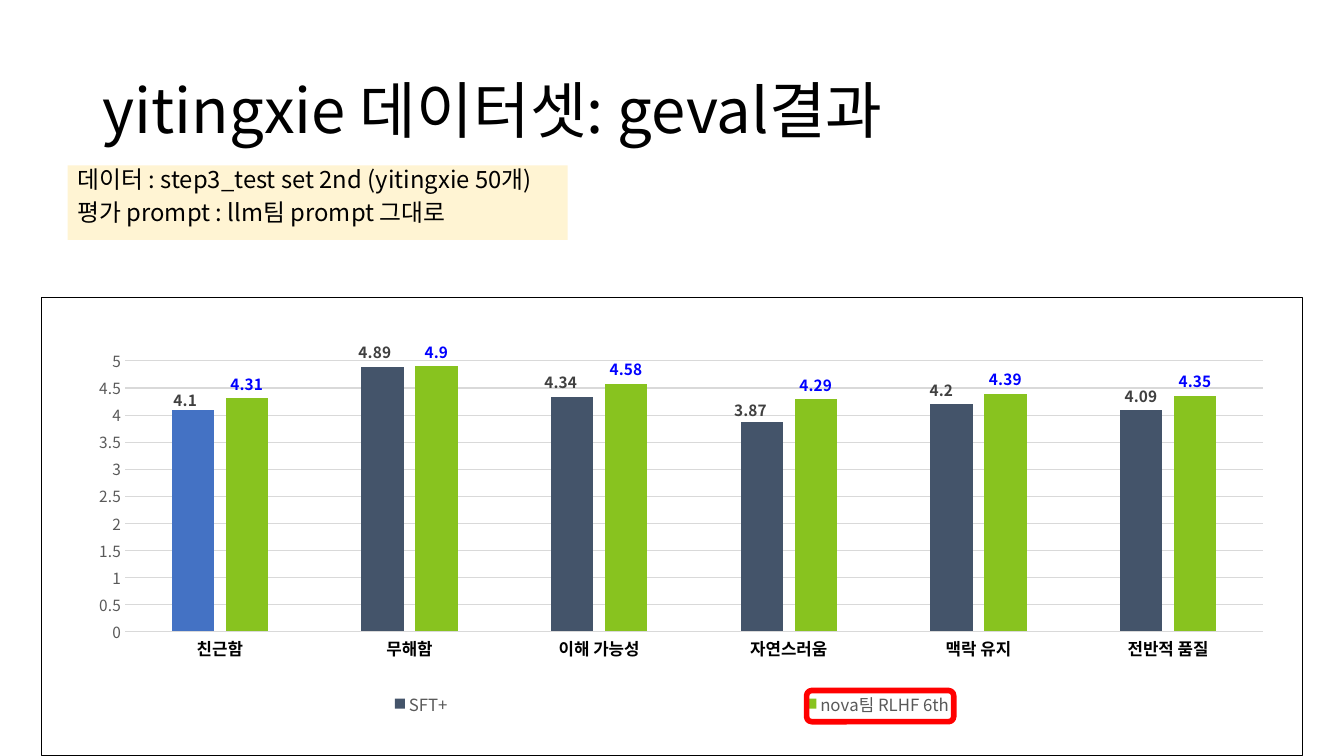
from lxml import etree
from pptx import Presentation
from pptx.chart.data import CategoryChartData
from pptx.dml.color import RGBColor
from pptx.enum import chart as ch, shapes, text
from pptx.oxml import parse_xml
from pptx.oxml.ns import nsdecls, qn
from pptx.util import Inches, Pt

FONT = "Noto Sans CJK KR"
BLACK = RGBColor(0, 0, 0)
GRAY = RGBColor(0x59, 0x59, 0x59)
DARK = RGBColor(0x40, 0x40, 0x40)
GRID = RGBColor(0xD9, 0xD9, 0xD9)
NAVY = RGBColor(0x44, 0x54, 0x6A)
AZURE = RGBColor(0x44, 0x72, 0xC4)
GREEN = RGBColor(0x88, 0xC3, 0x1F)
BLUE = RGBColor(0, 0, 0xFF)
CREAM = RGBColor(0xFF, 0xF4, 0xD3)
RED = RGBColor(0xFF, 0, 0)

TITLE = ["yitingxie 데이터셋: geval결과"]
NOTES = ["데이터 : step3_test set 2nd (yitingxie 50개)",
         "평가 prompt : llm팀 prompt 그대로"]
CATS = ["친근함", "무해함", "이해 가능성", "자연스러움", "맥락 유지", "전반적 품질"]
# name, values, bar colour, label colour
SERIES = [("SFT+", [4.1, 4.89, 4.34, 3.87, 4.2, 4.09], NAVY, DARK),
          ("nova팀 RLHF 6th", [4.31, 4.9, 4.58, 4.29, 4.39, 4.35], GREEN, BLUE)]
# label offsets of the first series, as shares of the chart
SHIFTS = [(-0.006, 0.01), (-0.006, 0), (-0.009, 0), (-0.009, 0.006), (-0.008, 0)]
PLOT = (0.066, 0.138, 0.903, 0.591)
LEGEND = (0, 0.847, 1, 0.08)


def style(font, size, color, bold=False):
    font.name, font.size, font.bold = FONT, Pt(size), bold
    font.color.rgb = color


def write(shape, lines, size, spacing, before=0, anchor=text.MSO_ANCHOR.TOP):
    frame = shape.text_frame
    frame.word_wrap, frame.vertical_anchor = True, anchor
    for i, line in enumerate(lines):
        para = frame.add_paragraph() if i else frame.paragraphs[0]
        para.alignment = text.PP_ALIGN.LEFT
        para.line_spacing, para.space_before = spacing, Pt(before)
        run = para.add_run()
        run.text = line
        style(run.font, size, BLACK)


def layout(box, inner=False):
    """Manual layout from x, y or x, y, w, h."""
    keys = ("x", "y", "w", "h")[:len(box)]
    tags = '<c:layoutTarget val="inner"/>' if inner else ""
    if len(box) == 4:
        tags += '<c:xMode val="edge"/><c:yMode val="edge"/>'
    tags += "".join(f'<c:{k} val="{v}"/>' for k, v in zip(keys, box))
    return parse_xml(f'<c:layout {nsdecls("c")}><c:manualLayout>{tags}'
                     '</c:manualLayout></c:layout>')


def place(parent, node, after=None):
    """Set the layout of a chart part, after the named child or first."""
    for old in parent.findall(qn("c:layout")):
        parent.remove(old)
    if after:
        parent.find(qn(after)).addnext(node)
    else:
        parent.insert(0, node)


def add_bars(slide):
    data = CategoryChartData()
    data.categories = CATS
    for name, vals, *_ in SERIES:
        data.add_series(name, vals)
    chart = slide.shapes.add_chart(
        ch.XL_CHART_TYPE.COLUMN_CLUSTERED, Inches(0.41), Inches(2.95),
        Inches(12.51), Inches(4.55), data).chart
    style(chart.font, 12, BLACK)
    chart.has_title = False
    chart.has_legend = True
    chart.legend.position = ch.XL_LEGEND_POSITION.BOTTOM
    chart.legend.include_in_layout = False
    style(chart.legend.font, 12, GRAY)

    cat, val = chart.category_axis, chart.value_axis
    for axis in (cat, val):
        axis.major_tick_mark = axis.minor_tick_mark = ch.XL_TICK_MARK.NONE
    style(cat.tick_labels.font, 12, BLACK, True)
    style(val.tick_labels.font, 11, GRAY)
    val.minimum_scale, val.maximum_scale, val.major_unit = 0, 5, 0.5
    val.has_major_gridlines = True
    val.format.line.fill.background()
    for line in (cat.format.line, val.major_gridlines.format.line):
        line.color.rgb, line.width = GRID, Pt(0.75)

    plot = chart.plots[0]
    plot.gap_width, plot.overlap, plot.vary_by_categories = 219, -27, False
    for bars, (_, _, fill, ink) in zip(plot.series, SERIES):
        bars.format.fill.solid()
        bars.format.fill.fore_color.rgb = fill
        labels = bars.data_labels
        labels.show_value = True
        labels.position = ch.XL_LABEL_POSITION.OUTSIDE_END
        style(labels.font, 11, ink, True)
    first = plot.series[0]
    point = first.points[0].format.fill
    point.solid()
    point.fore_color.rgb = AZURE
    for i in range(len(SHIFTS)):
        label = first.points[i].data_label
        style(label.font, 11, DARK, True)
        label.position = ch.XL_LABEL_POSITION.OUTSIDE_END

    root = chart.element
    for node, shift in zip(root.iter(qn("c:dLbl")), SHIFTS):
        place(node, layout(shift), "c:idx")
    place(next(root.iter(qn("c:plotArea"))), layout(PLOT, True))
    place(next(root.iter(qn("c:legend"))), layout(LEGEND), "c:legendPos")
    root.find(qn("c:chart")).addnext(parse_xml(
        f'<c:spPr {nsdecls("c", "a")}><a:noFill/><a:ln w="9525"><a:solidFill>'
        f'<a:srgbClr val="{BLACK}"/></a:solidFill></a:ln></c:spPr>'))
    return chart


def set_asian(root):
    """Use the Latin font for Korean text too."""
    for latin in list(root.iter(qn("a:latin"))):
        east = etree.Element(qn("a:ea"))
        east.set("typeface", FONT)
        latin.addnext(east)


def main():
    deck = Presentation()
    deck.slide_width, deck.slide_height = Inches(13.33), Inches(7.5)
    slide = deck.slides.add_slide(deck.slide_layouts[6])
    title = slide.shapes.add_textbox(
        Inches(0.92), Inches(0.4), Inches(11.5), Inches(1.45))
    write(title, TITLE, 44, 0.9, anchor=text.MSO_ANCHOR.MIDDLE)
    chart = add_bars(slide)

    note = slide.shapes.add_shape(
        shapes.MSO_SHAPE.RECTANGLE,
        Inches(0.67), Inches(1.64), Inches(4.96), Inches(0.74))
    note.shadow.inherit = False
    note.fill.solid()
    note.fill.fore_color.rgb = CREAM
    note.line.fill.background()
    write(note, NOTES, 17, 0.8, before=7)

    mark = slide.shapes.add_shape(
        shapes.MSO_SHAPE.ROUNDED_RECTANGLE,
        Inches(8), Inches(6.85), Inches(1.46), Inches(0.31))
    mark.shadow.inherit = False
    mark.fill.background()
    mark.line.color.rgb, mark.line.width = RED, Pt(4)

    set_asian(slide.element)
    set_asian(chart.element)
    deck.save("out.pptx")


if __name__ == "__main__":
    main()
